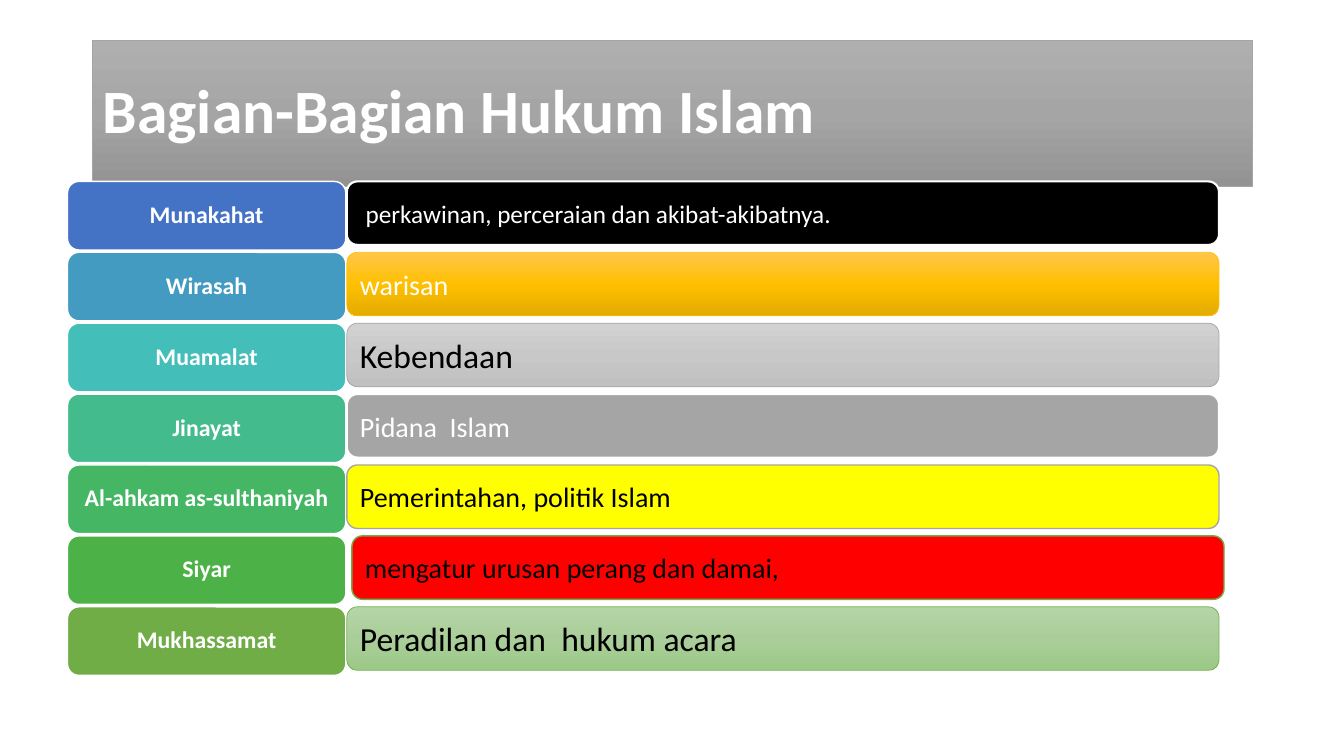
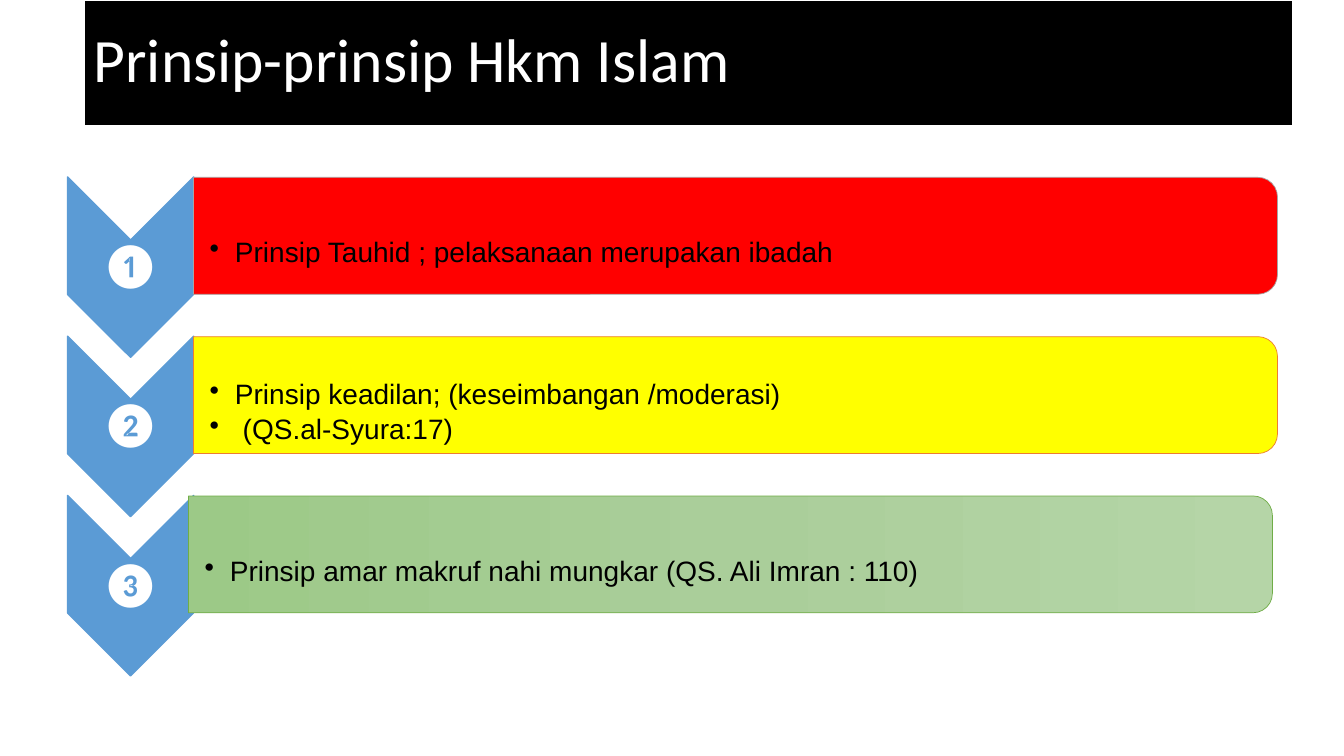
from copy import deepcopy
from dataclasses import dataclass

from lxml.etree import SubElement
from pptx import Presentation
from pptx.dml.color import RGBColor
from pptx.enum.shapes import MSO_SHAPE
from pptx.enum.text import MSO_ANCHOR, MSO_AUTO_SIZE, PP_ALIGN
from pptx.oxml.ns import qn
from pptx.util import Inches, Pt


@dataclass(frozen=True)
class Theme:
    heading_font: str = "Calibri"
    bullet_font: str = "Arial"
    title_size: int = 44
    number_size: int = 32
    bullet_size: int = 20
    tab_size: int = 17
    white: str = "FFFFFF"
    black: str = "000000"
    gray: str = "A5A5A5"
    gold: str = "FFC000"
    yellow: str = "FFFF00"
    red: str = "FF0000"
    green: str = "70AD47"
    orange: str = "ED7D31"
    blue: str = "5B9BD5"
    gray_fade: tuple = ("AFAFAF", "A5A5A5", "939393")
    silver_fade: tuple = ("D2D2D2", "C8C8C8", "C0C0C0")
    gold_fade: tuple = ("FFC64B", "FFC000", "E3AB00")
    green_fade: tuple = ("B5D5A7", "AACE9A", "9CC987")
    tight: float = 0.9


T = Theme()

# branch, tab colour, meaning, size, text colour, fill, (line colour, width), shift
BRANCHES = [
    ("Munakahat", "4472C4", " perkawinan, perceraian dan akibat-akibatnya.", 18,
     T.white, T.black, (T.white, 1.5), 0),
    ("Wirasah", "449BC1", "warisan", 20, T.white, T.gold_fade, (T.gold, 0.5), 0),
    ("Muamalat", "43BEB9", "Kebendaan", 24, T.black, T.silver_fade, (T.gray, 0.5), 0),
    ("Jinayat", "43BB8D", "Pidana  Islam", 20, T.white, T.gray, (T.white, 1.5), 0),
    ("Al-ahkam as-sulthaniyah", "45B664", "Pemerintahan, politik Islam", 20,
     T.black, T.yellow, (T.gray, 1), 0),
    ("Siyar", "4CB146", "mengatur urusan perang dan damai,", 20,
     T.black, T.red, (T.green, 1), 0.05),
    ("Mukhassamat", T.green, "Peradilan dan  hukum acara", 24,
     T.black, T.green_fade, (T.green, 0.5), 0),
]

# number, bullets, fill, line colour, shift
PRINCIPLES = [
    ("❶", ["Prinsip Tauhid ; pelaksanaan merupakan ibadah"], T.red, T.gray, 0),
    ("❷", ["Prinsip keadilan; (keseimbangan /moderasi)", " (QS.al-Syura:17)"],
     T.yellow, T.orange, 0),
    ("❸", ["Prinsip amar makruf nahi mungkar (QS. Ali Imran : 110)"],
     T.green_fade, T.green, -0.05),
]


def paint(shape, fill, line):
    """Fill with one colour, or fade from top to bottom through a tuple of three."""
    if isinstance(fill, tuple):
        shape.fill.gradient()
        shape.fill.gradient_angle = 270
        stop_list = shape.element.spPr.find(".//" + qn("a:gsLst"))
        stop_list.append(deepcopy(stop_list[-1]))
        for index, stop in enumerate(shape.fill.gradient_stops):
            stop.color.rgb = RGBColor.from_string(fill[index])
            stop.position = index / 2
    else:
        shape.fill.solid()
        shape.fill.fore_color.rgb = RGBColor.from_string(fill)
    color, width = line
    shape.line.color.rgb = RGBColor.from_string(color)
    shape.line.width = Pt(width)
    shape.shadow.inherit = False


def add_block(slide, preset, box, fill, line):
    block = slide.shapes.add_shape(preset, *map(Inches, box))
    paint(block, fill, line)
    return block


def add_turned(slide, preset, center, across, down, fill, line):
    """Add a shape turned 90 degrees that covers across by down as seen."""
    x, y = center
    box = (x - down / 2, y - across / 2, down, across)
    add_block(slide, preset, box, fill, line).rotation = 90


def write(shape, lines, size, color, align=PP_ALIGN.LEFT, font=T.heading_font,
          bold=False, spacing=1.0, margins=(0.1, 0.05, 0.1, 0.05), bullets=False):
    frame = shape.text_frame
    frame.text = "\n".join(lines)
    frame.word_wrap = True
    frame.auto_size = MSO_AUTO_SIZE.NONE
    frame.vertical_anchor = MSO_ANCHOR.MIDDLE
    (frame.margin_left, frame.margin_top,
     frame.margin_right, frame.margin_bottom) = map(Inches, margins)
    for paragraph in frame.paragraphs:
        paragraph.alignment = align
        paragraph.line_spacing = spacing
        if bullets:
            paragraph.space_after = Pt(size * 0.15)
            properties = paragraph._p.get_or_add_pPr()
            properties.set("marL", str(Inches(0.25)))
            properties.set("indent", str(-Inches(0.25)))
            SubElement(properties, qn("a:buChar"), char="•")
        for run in paragraph.runs:
            run.font.name = font
            run.font.size = Pt(size)
            run.font.bold = bold
            run.font.color.rgb = RGBColor.from_string(color)


def add_titled_slide(deck, title, box, fill, line, bold):
    slide = deck.slides.add_slide(deck.slide_layouts[5])
    band = slide.shapes.title
    band.left, band.top, band.width, band.height = map(Inches, box)
    paint(band, fill, line)
    write(band, [title], T.title_size, T.white, bold=bold, spacing=T.tight)
    return slide


def build_branches(deck):
    slide = add_titled_slide(deck, "Bagian-Bagian Hukum Islam",
                             (0.92, 0.4, 11.5, 1.45), T.gray_fade, (T.gray, 0.5), True)
    first_top, last_top = 1.8, 6.02
    pitch = (last_top - first_top) / (len(BRANCHES) - 1)
    for row, (branch, tab_color, meaning, size, ink, fill, line, shift) in enumerate(BRANCHES):
        top = first_top + row * pitch
        tab = add_block(slide, MSO_SHAPE.ROUNDED_RECTANGLE, (0.67, top, 2.76, 0.68),
                        tab_color, (T.white, 1))
        write(tab, [branch], T.tab_size, T.white, PP_ALIGN.CENTER, bold=True,
              spacing=T.tight, margins=(0.07, 0.04, 0.07, 0.04))
        bar = add_block(slide, MSO_SHAPE.ROUNDED_RECTANGLE,
                        (3.44 + shift, top, 8.65, 0.63), fill, line)
        write(bar, [meaning], size, ink, PP_ALIGN.JUSTIFY)


def build_principles(deck):
    slide = add_titled_slide(deck, "Prinsip-prinsip Hkm Islam",
                             (0.83, 0, 12, 1.25), T.black, (T.white, 1.5), False)
    left, arrow_width, panel_width, pitch = 0.67, 1.25, 10.75, 1.58
    for row, (number, bullets, fill, line_color, shift) in enumerate(PRINCIPLES):
        arrow_middle = 2.65 + row * pitch
        panel_middle = 2.34 + row * pitch
        panel_left = left + arrow_width + shift
        add_turned(slide, MSO_SHAPE.CHEVRON, (left + arrow_width / 2, arrow_middle),
                   arrow_width, 1.79, T.blue, (T.blue, 1))
        badge = slide.shapes.add_textbox(
            *map(Inches, (left, arrow_middle - 0.27, arrow_width, 0.54)))
        write(badge, [number], T.number_size, T.white, PP_ALIGN.CENTER,
              spacing=T.tight, margins=(0.02,) * 4)
        add_turned(slide, MSO_SHAPE.ROUND_2_SAME_RECTANGLE,
                   (panel_left + panel_width / 2, panel_middle),
                   panel_width, 1.16, fill, (line_color, 0.5))
        points = slide.shapes.add_textbox(
            *map(Inches, (panel_left, panel_middle - 0.52, 10.69, 1.05)))
        write(points, bullets, T.bullet_size, T.black, font=T.bullet_font,
              spacing=T.tight, margins=(0.16, 0.35, 0.01, 0.01), bullets=True)


def main():
    deck = Presentation()
    deck.slide_width, deck.slide_height = Inches(13.33), Inches(7.5)
    build_branches(deck)
    build_principles(deck)
    deck.save("out.pptx")


if __name__ == "__main__":
    main()
